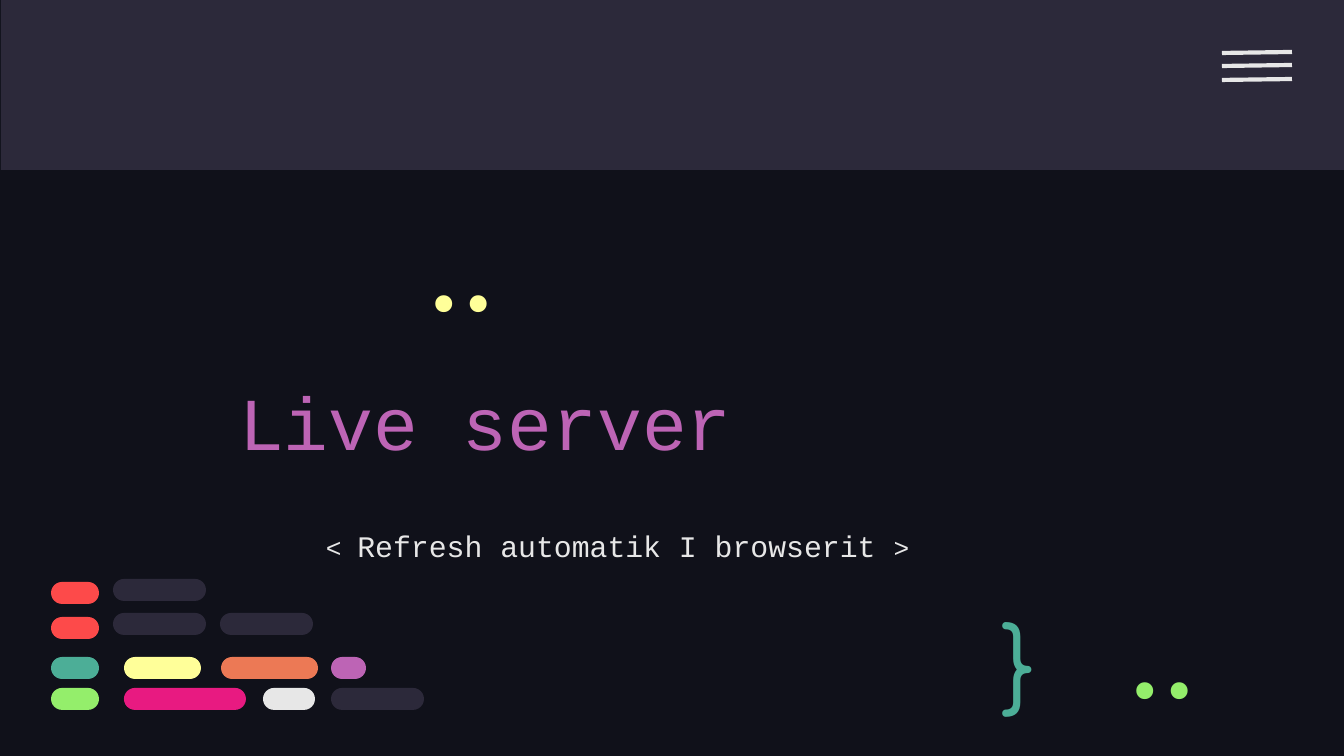
from lxml.etree import SubElement
from pptx import Presentation
from pptx.dml.color import RGBColor
from pptx.enum.shapes import MSO_CONNECTOR as CONN, MSO_SHAPE as SHAPE
from pptx.enum.text import MSO_ANCHOR as ANCHOR, PP_ALIGN as ALIGN
from pptx.oxml.ns import qn
from pptx.util import Pt

SCALE = 914400 / 134.4
COLORS = {
    "night": "10111A", "slate": "2C293A", "white": "E7E7E7",
    "purple": "BD64B5", "teal": "4CAE97", "green": "94EE6B",
    "yellow": "FFFF99", "red": "FD4A4A", "orange": "EC7955", "pink": "E81A81",
}
CODE_FONT = "Courier New"


def px(n):
    return round(n * SCALE)


def rgb(name):
    return RGBColor.from_string(COLORS[name])


class Deck:
    def __init__(self, width, height):
        self.prs = Presentation()
        self.prs.slide_width, self.prs.slide_height = px(width), px(height)

    def add_slide(self, color):
        self.s = self.prs.slides.add_slide(self.prs.slide_layouts[6])
        fill = self.s.background.fill
        fill.solid()
        fill.fore_color.rgb = rgb(color)

    def shape(self, kind, x, y, w, h, color):
        sp = self.s.shapes.add_shape(kind, px(x), px(y), px(w), px(h))
        sp.shadow.inherit = False
        sp.fill.solid()
        sp.fill.fore_color.rgb = rgb(color)
        sp.line.fill.background()
        return sp

    def pill(self, x, y, w, color):
        self.shape(SHAPE.ROUNDED_RECTANGLE, x, y, w, 22, color).adjustments[0] = 0.5

    def line(self, x1, y1, x2, y2, color, width):
        cn = self.s.shapes.add_connector(CONN.STRAIGHT, px(x1), px(y1), px(x2), px(y2))
        cn.line.color.rgb = rgb(color)
        cn.line.width = Pt(width)
        SubElement(cn._element.spPr, qn("a:effectLst"))

    def text(self, x, y, w, h, runs, color, font=CODE_FONT,
             anchor=ANCHOR.TOP, align=ALIGN.LEFT, spacing=1.0):
        tf = self.s.shapes.add_textbox(px(x), px(y), px(w), px(h)).text_frame
        tf.word_wrap = True
        tf.vertical_anchor = anchor
        tf.margin_left = tf.margin_right = tf.margin_top = tf.margin_bottom = px(13)
        p = tf.paragraphs[0]
        p.alignment = align
        p.line_spacing = spacing
        for content, size in runs:
            r = p.add_run()
            r.text = content
            r.font.name = font
            r.font.size = Pt(size)
            r.font.color.rgb = rgb(color)

    def dots(self, x, y, color):
        self.text(x, y, 144, 81, [("..", 50)], color, "Fira Code",
                  ANCHOR.MIDDLE, ALIGN.RIGHT)


def main():
    deck = Deck(1344, 756)
    deck.add_slide("night")

    deck.shape(SHAPE.RECTANGLE, 1, 0, 1344, 170, "slate")
    for i in range(3):
        y = 52 + 27 * i // 2
        deck.line(1222, y + 1, 1292, y, "white", 2.25)

    deck.text(226, 333, 976, 176, [("Live server", 40)], "purple", anchor=ANCHOR.MIDDLE)
    deck.text(313, 509, 888, 91,
              [("< ", 14), ("Refresh automatik I browserit ", 16), (">", 14)],
              "white", spacing=1.15)
    deck.text(988, 589, 77, 112, [("}", 50)], "teal", "Comfortaa")
    deck.dots(1089, 621, "green")
    deck.dots(388, 234, "yellow")

    code_rows = [
        (582, [(51, 48, "red")]),
        (617, [(51, 48, "red")]),
        (657, [(51, 48, "teal"), (124, 77, "yellow"), (221, 97, "orange"), (331, 35, "purple")]),
        (688, [(51, 48, "green"), (124, 122, "pink"), (263, 52, "white"), (331, 93, "slate")]),
        (613, [(113, 93, "slate"), (220, 93, "slate")]),
        (579, [(113, 93, "slate")]),
    ]
    for y, pills in code_rows:
        for x, w, color in pills:
            deck.pill(x, y, w, color)

    deck.prs.save("out.pptx")


if __name__ == "__main__":
    main()
